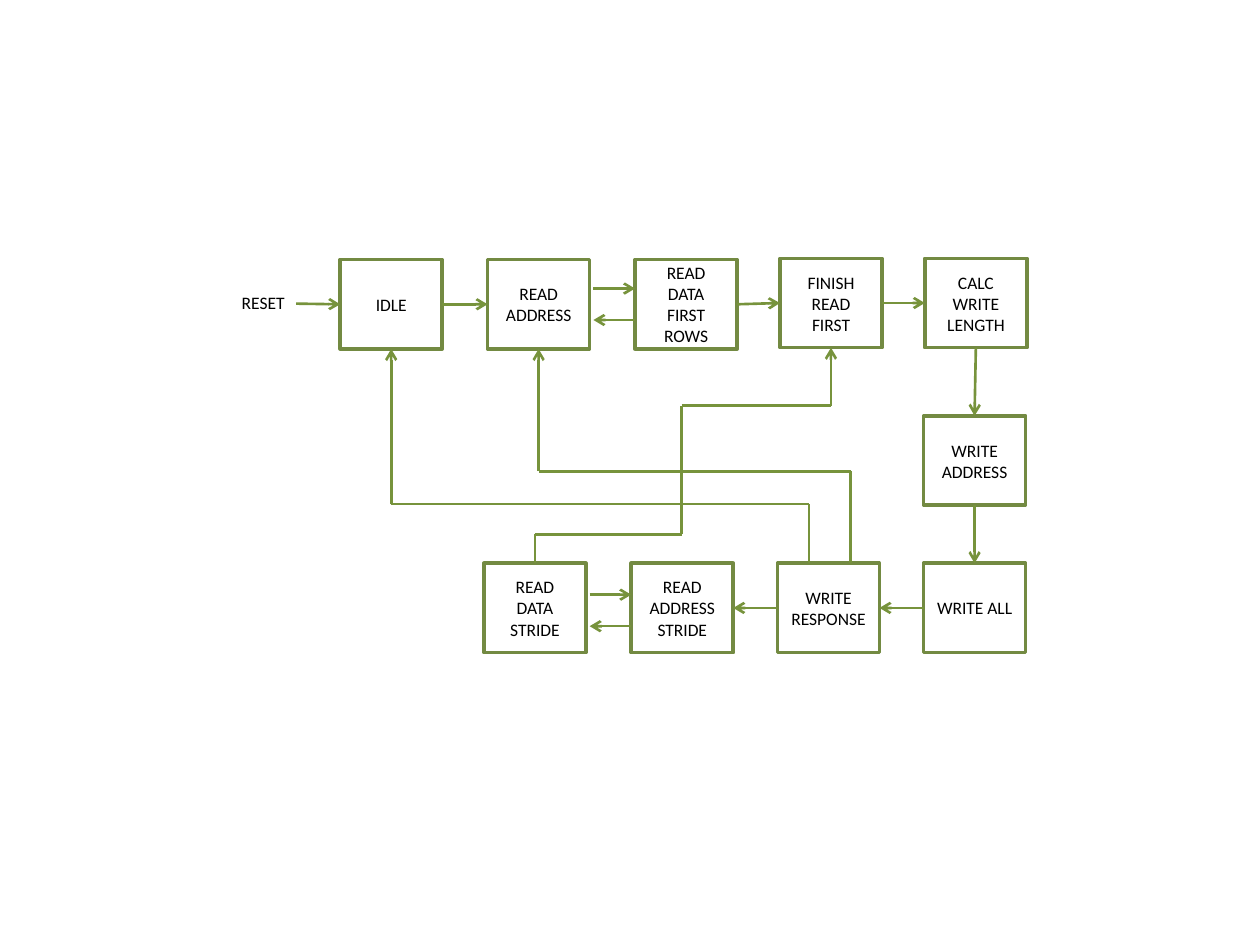
from dataclasses import dataclass
from itertools import pairwise

from lxml.etree import SubElement
from pptx import Presentation
from pptx.dml.color import RGBColor
from pptx.enum.shapes import MSO_CONNECTOR, MSO_SHAPE
from pptx.enum.text import MSO_ANCHOR, PP_ALIGN
from pptx.oxml.ns import qn
from pptx.util import Emu, Pt


@dataclass(frozen=True)
class Theme:
    edge: RGBColor = RGBColor(0x73, 0x8A, 0x42)
    link: RGBColor = RGBColor(0x77, 0x93, 0x3C)
    ink: RGBColor = RGBColor(0, 0, 0)
    font: str = "Calibri"
    size: int = 10
    border: float = 2
    stroke: float = 1.5


THEME = Theme()
WIDE, HIGH = 81, 71  # size of a state box
TOP, LEFT, BOTTOM, RIGHT = range(4)


def px(n):
    """100 px to the inch."""
    return Emu(n * 9144)


def write(shape, text, align=PP_ALIGN.LEFT, anchor=MSO_ANCHOR.TOP):
    frame = shape.text_frame
    frame.word_wrap = True
    frame.vertical_anchor = anchor
    para = frame.paragraphs[0]
    para.alignment = align
    run = para.add_run()
    run.text = text
    run.font.name = THEME.font
    run.font.size = Pt(THEME.size)
    run.font.color.rgb = THEME.ink


def state(slide, text, x, y):
    box = slide.shapes.add_shape(
        MSO_SHAPE.RECTANGLE, px(x), px(y), px(WIDE), px(HIGH))
    box.shadow.inherit = False
    box.fill.background()
    box.line.color.rgb = THEME.edge
    box.line.width = Pt(THEME.border)
    write(box, text, align=PP_ALIGN.CENTER, anchor=MSO_ANCHOR.MIDDLE)
    return box


def spot(end):
    """EMU point of an end: (x, y) in EMU or (box, side)."""
    box, side = end
    if isinstance(box, int):
        return end
    across = {LEFT: 0, RIGHT: box.width}.get(side, box.width // 2)
    down = {TOP: 0, BOTTOM: box.height}.get(side, box.height // 2)
    return Emu(box.left + across), Emu(box.top + down)


def link(slide, start, end, tip=True):
    line = slide.shapes.add_connector(
        MSO_CONNECTOR.STRAIGHT, *spot(start), *spot(end))
    if not isinstance(start[0], int):
        line.begin_connect(*start)
    if not isinstance(end[0], int):
        line.end_connect(*end)
    line.line.color.rgb = THEME.link
    line.line.width = Pt(THEME.stroke)
    if tip:
        SubElement(line.line._get_or_add_ln(), qn("a:tailEnd"), type="arrow")
    SubElement(line._element.spPr, qn("a:effectLst"))


def route(slide, start, lanes, end, turns=()):
    """Run along each lane (y), changing lane at each turn (x)."""
    cols = [spot(start)[0], *map(px, turns), spot(end)[0]]
    bends = [(x, px(y)) for y, pair in zip(lanes, pairwise(cols)) for x in pair]
    ends = [start, *bends, end]
    for a, b in pairwise(ends):
        link(slide, a, b, tip=b is end)


def swap(slide, left, right, drop):
    """Two opposite arrows between neighbours."""
    near = Emu(left.left + left.width + px(3))
    far = right.left
    out = Emu(left.top + px(drop))
    back = Emu(out + px(25))
    link(slide, (near, out), (far, out))
    link(slide, (far, back), (near, back))


def entry(slide, x, y, first):
    label = slide.shapes.add_textbox(px(x), px(y), px(58), px(27))
    write(label, "RESET")
    link(slide, (px(x + 53), px(y + 14)), (first, LEFT))


def reads(slide, x, y):
    # Top row: first reads
    spots = (("IDLE", 0, 0), ("READ ADDRESS", 117, 0),
             ("READ DATA FIRST ROWS", 234, 0),
             ("FINISH READ FIRST", 349, -1), ("CALC WRITE LENGTH", 464, -1))
    idle, addr, data, done, calc = (
        state(slide, name, x + dx, y + dy) for name, dx, dy in spots)
    for a, b in ((idle, addr), (data, done), (done, calc)):
        link(slide, (a, RIGHT), (b, LEFT))
    swap(slide, addr, data, 23)
    return idle, addr, done, calc


def writes(slide, x, y, calc):
    # Right column: writes
    addr = state(slide, "WRITE ADDRESS", x, y)
    whole = state(slide, "WRITE ALL", x, y + 117)
    link(slide, (calc, BOTTOM), (addr, TOP))
    link(slide, (addr, BOTTOM), (whole, TOP))
    return whole


def strides(slide, x, y, whole):
    # Bottom row: response and stride reads
    spots = (("READ DATA STRIDE", 0), ("READ ADDRESS STRIDE", 117),
             ("WRITE RESPONSE", 233))
    data, addr, reply = (state(slide, name, x + dx, y) for name, dx in spots)
    link(slide, (whole, LEFT), (reply, RIGHT))
    link(slide, (reply, LEFT), (addr, RIGHT))
    swap(slide, data, addr, 25)
    return data, reply


def loops(slide, data, reply, idle, addr, done):
    # Routes back to the top row
    for dx, lane, goal in ((25, 400, idle), (58, 374, addr)):
        start = (Emu(reply.left + px(dx)), reply.top)
        route(slide, start, [lane], (goal, BOTTOM))
    route(slide, (data, TOP), [424, 322], (done, BOTTOM), turns=[541])


def main():
    deck = Presentation()
    deck.slide_width, deck.slide_height = px(1000), px(750)
    slide = deck.slides.add_slide(deck.slide_layouts[6])
    idle, addr, done, calc = reads(slide, 270, 206)
    entry(slide, 182, 227, idle)
    whole = writes(slide, 733, 330, calc)
    data, reply = strides(slide, 384, 447, whole)
    loops(slide, data, reply, idle, addr, done)
    deck.save("out.pptx")


if __name__ == "__main__":
    main()
